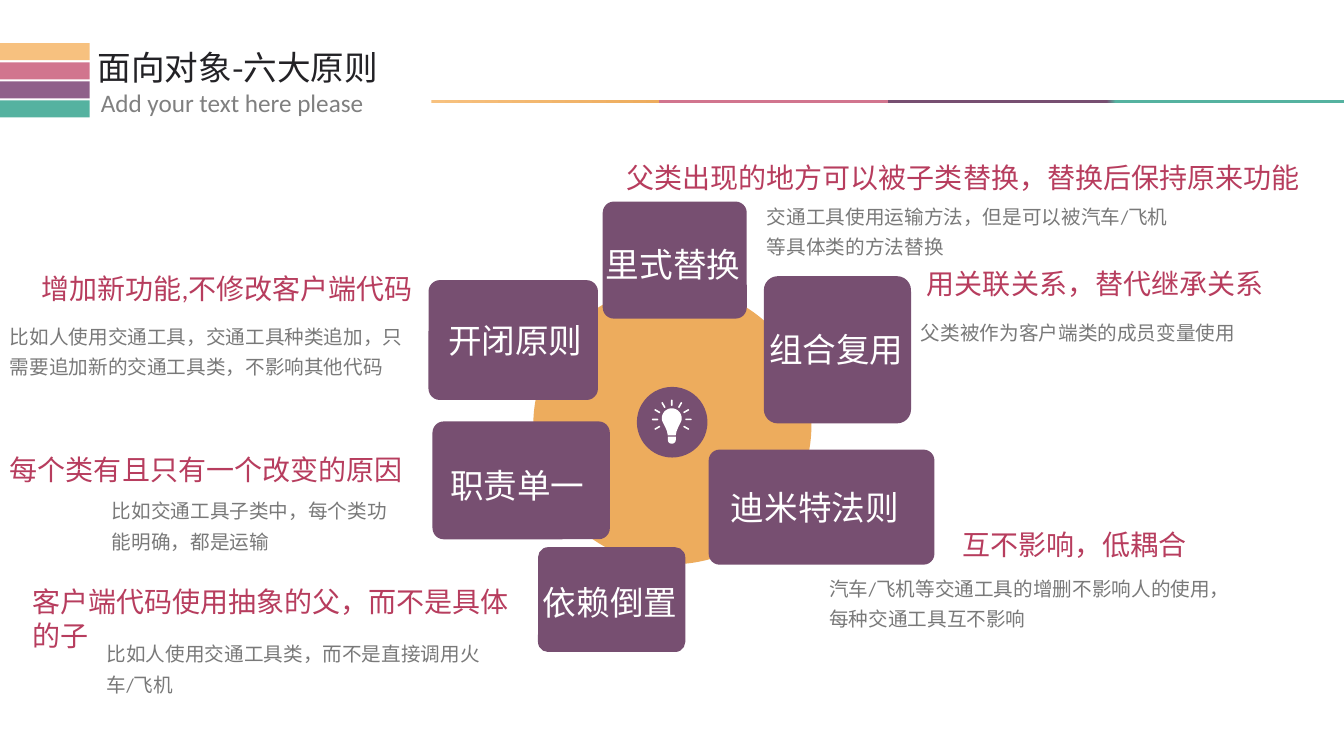
from math import cos, sin, radians
from lxml.etree import SubElement
from pptx import Presentation
from pptx.dml.color import RGBColor
from pptx.enum.shapes import MSO_SHAPE as Kind
from pptx.enum.text import MSO_ANCHOR as Anchor, MSO_AUTO_SIZE as Auto, PP_ALIGN as Align
from pptx.oxml.ns import qn
from pptx.util import Cm, Pt

INK = {
    "gold": "F7C17F", "rose": "D1758E", "plum": "8F608A", "teal": "55B2A0",
    "disc": "EDAC5D", "card": "774F71", "head": "B73D5E", "note": "797979",
    "title": "232226", "sub": "808080", "white": "FFFFFF",
}
LATIN, HAN = "Calibri", "Noto Sans CJK SC"

TITLE = "面向对象-六大原则"
SUB = "Add your text here please"
BARS = ["gold", "rose", "plum", "teal"]
STOPS = [(0, "gold"), (25, "disc"), (25, "rose"), (50, "rose"),
         (50, "card"), (74, "card"), (75, "teal"), (100, "teal")]

CARDS = [
    ("开闭原则", (10.8, 7.06, 4.27, 3.02), (0.41, 0.91)),
    ("依赖倒置", (13.56, 13.79, 3.71, 2.64), (0.05, 0.81)),
    ("职责单一", (10.9, 10.62, 4.47, 2.97), (0.36, 1.02)),
    ("迪米特法则", (17.86, 11.33, 5.69, 2.9), (0.48, 0.86)),
    ("里式替换", (15.19, 5.08, 3.63, 2.95), (0, 0.99)),
    ("组合复用", (19.25, 6.96, 3.71, 3.71), (0.03, 1.22)),
]
HEADS = [
    ("用关联关系，替代继承关系", (23.11, 6.58, 9.3, 1.11), HAN),
    ("客户端代码使用抽象的父，而不是具体的子", (0.56, 14.6, 12.98, 1.96), HAN),
    ("增加新功能,不修改客户端代码", (0.79, 6.71, 10.57, 1.11), LATIN),
    ("每个类有且只有一个改变的原因", (0, 11.28, 10.8, 1.11), LATIN),
    ("互不影响，低耦合", (24, 13.16, 6.68, 1.11), HAN),
    ("父类出现的地方可以被子类替换，替换后保持原来功能", (15.54, 3.91, 17.7, 1.11), LATIN),
]
NOTES = [
    ("父类被作为客户端类的成员变量使用", (22.96, 7.77, 10.9, 0.97)),
    ("汽车/飞机等交通工具的增删不影响人的使用，每种交通工具互不影响", (20.65, 14.22, 10.9, 1.8)),
    ("比如人使用交通工具，交通工具种类追加，只需要追加新的交通工具类，不影响其他代码",
     (0, 7.87, 10.9, 1.8)),
    ("比如交通工具子类中，每个类功能明确，都是运输", (2.57, 12.27, 7.92, 1.8)),
    ("比如人使用交通工具类，而不是直接调用火车/飞机", (2.44, 15.88, 10.9, 1.8)),
    ("交通工具使用运输方法，但是可以被汽车/飞机等具体类的方法替换", (19.08, 4.85, 10.9, 1.8)),
]
DISC = (13.44, 7.21, 7.01, 7.01)
BADGE = (16.05, 9.75, 1.78, 1.78)
MID = (16.93, 10.57)
NECK = [(0.21, 0.13), (0.16, 0.23), (0.12, 0.33), (0.1, 0.43)]

deck = Presentation()
deck.slide_width, deck.slide_height = Cm(33.87), Cm(19.05)
slide = deck.slides.add_slide(deck.slide_layouts[5])
shapes = slide.shapes


def place(box):
    return [Cm(v) for v in box]


def paint(shape, ink):
    shape.shadow.inherit = False
    shape.fill.solid()
    shape.fill.fore_color.rgb = RGBColor.from_string(INK[ink])
    shape.line.fill.background()
    return shape


def draw(kind, box, ink):
    return paint(shapes.add_shape(kind, *place(box)), ink)


def write(shape, text, size, font, ink, space=None, inset=(0.25, 0.13), right=0.25):
    frame = shape.text_frame
    frame.word_wrap = True
    frame.auto_size = Auto.NONE
    frame.vertical_anchor = Anchor.TOP
    frame.margin_left, frame.margin_top = place(inset)
    frame.margin_right, frame.margin_bottom = Cm(right), 0
    para = frame.paragraphs[0]
    para.alignment = Align.LEFT
    if space:
        para.line_spacing = space
    run = para.add_run()
    run.text = text
    run.font.size, run.font.name = Pt(size), font
    run.font.color.rgb = RGBColor.from_string(INK[ink])


def label(text, box, *style):
    write(shapes.add_textbox(*place(box)), text, *style)


def blend(shape, stops):
    shape.fill.gradient()
    shape.fill.gradient_angle = 0
    track = next(shape.element.iter(qn("a:gsLst")))
    for old in list(track):
        track.remove(old)
    for part, ink in stops:
        stop = SubElement(track, qn("a:gs"), pos=str(part * 1000))
        SubElement(stop, qn("a:srgbClr"), val=INK[ink])


def bulb():
    x, y = MID
    for turn in range(-120, 121, 30):
        a = radians(turn)
        rx, ry = x + 0.42 * sin(a), y - 0.42 * cos(a)
        ray = draw(Kind.ROUNDED_RECTANGLE, (rx - 0.02, ry - 0.08, 0.04, 0.16), "white")
        ray.adjustments[0] = 0.5
        ray.rotation = turn
    arc = [(0.25 * cos(radians(d)), 0.25 * sin(radians(d))) for d in range(160, 381, 10)]
    rim = arc + NECK + [(-dx, dy) for dx, dy in reversed(NECK)]
    dots = [(Cm(x + dx), Cm(y - 0.03 + dy)) for dx, dy in rim]
    pen = shapes.build_freeform(*dots[0])
    pen.add_line_segments(dots[1:], close=True)
    paint(pen.convert_to_shape(), "white")
    base = draw(Kind.ROUND_2_SAME_RECTANGLE, (x - 0.1, y + 0.43, 0.2, 0.18), "white")
    base.adjustments[0] = 0.5
    base.rotation = 180


for i, ink in enumerate(BARS):
    draw(Kind.RECTANGLE, (0, 1.09 + 0.48 * i, 2.26, 0.43), ink)
title = shapes.title
title.left, title.top, title.width, title.height = place((2.21, 1.04, 11.2, 1.27))
write(title, TITLE, 24, HAN, "title")
label(SUB, (2.29, 2.06, 9.32, 1.02), 18, LATIN, "sub")
blend(draw(Kind.RECTANGLE, (10.87, 2.51, 23, 0.1), "gold"), STOPS)

draw(Kind.OVAL, DISC, "disc")
for text, box, inset in CARDS:
    card = draw(Kind.ROUNDED_RECTANGLE, box, "card")
    card.adjustments[0] = 0.095
    write(card, text, 24, LATIN, "white", None, inset, 0)
draw(Kind.OVAL, BADGE, "card")
bulb()

for text, box, font in HEADS:
    label(text, box, 20, font, "head")
for text, box in NOTES:
    label(text, box, 14, LATIN, "note", 1.3)

deck.save("out.pptx")
